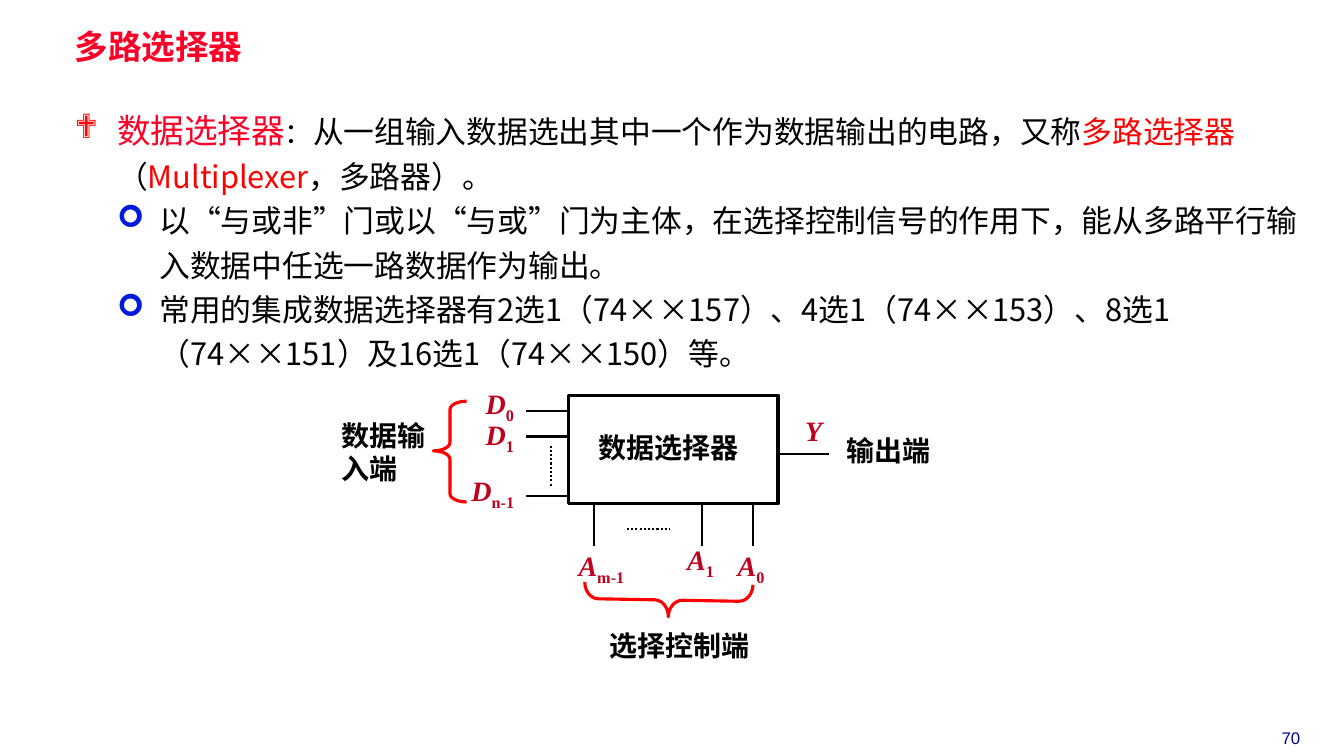
from lxml import etree
from pptx import Presentation
from pptx.dml.color import RGBColor
from pptx.enum.dml import MSO_LINE
from pptx.enum.shapes import MSO_CONNECTOR, MSO_SHAPE
from pptx.enum.text import PP_ALIGN
from pptx.oxml.ns import qn
from pptx.util import Cm, Pt

STRAIGHT = MSO_CONNECTOR.STRAIGHT
DOTTED = MSO_LINE.ROUND_DOT
RECT, BRACE = MSO_SHAPE.RECTANGLE, MSO_SHAPE.LEFT_BRACE
CJK, SERIF, SANS = "Noto Sans CJK SC", "Times New Roman", "Arial"
COLORS = {"title": "FC0128", "red": "FF0000", "black": "000000",
          "arrow": "001ADC", "signal": "BD011E", "number": "000099"}

# Content: body runs are (text, size, colour)
TITLE = "多路选择器"
PAGE = "70"
BODY = [
    (0, [("数据选择器", 24, "title"), ("：", 20, "black"),
         ("从一组输入数据选出其中一个作为数据输出的电路，又称", 22, "black"),
         ("多路选择器", 22, "red"), ("（", 22, "black"),
         ("Multiplexer", 22, "red"), ("，多路器）。", 22, "black")]),
    (1, [("以“与或非”门或以“与或”门为主体，在选择控制信号的作用下，"
          "能从多路平行输入数据中任选一路数据作为输出。", 22, "black")]),
    (1, [("常用的集成数据选择器有2选1（74××157）、4选1（74××153）、"
          "8选1（74××151）及16选1（74××150）等。", 22, "black")]),
]
BULLETS = [("❖", "red"), ("➢", "arrow")]

# Diagram, in cm
LEFT, TOP, WIDTH, HEIGHT = 14.33, 9.96, 5.28, 2.74
RIGHT, BOTTOM = LEFT + WIDTH, TOP + HEIGHT
PIN = 1.07
INPUT_PINS = [10.36, 11.0, 12.5]
SELECT_PINS = [14.96, 17.7, 18.97]
OUTPUT_PIN = (RIGHT, 11.43, 20.88, 11.43)
DOTS = [(13.89, 11.23, 13.89, 12.27), (15.8, 13.34, 16.87, 13.34)]
SIGNALS = [  # letter, subscript, left, top, width
    ("D", "0", 11.99, 9.6, 1.47), ("D", "1", 11.99, 10.39, 1.4),
    ("D", "n-1", 11.63, 11.81, 1.9), ("A", "0", 18.34, 13.69, 1.3),
    ("A", "1", 17.07, 13.54, 1.4), ("A", "m-1", 14.33, 13.69, 1.85),
    ("Y", "", 20.04, 10.29, 0.94),
]
CAPTIONS = [  # text, left, top, width, height
    ("数据选择器", 14.83, 10.72, 4.2, 1.1), ("数据输入端", 8.36, 10.41, 2.9, 1.96),
    ("输出端", 21.08, 10.8, 3.18, 1.1), ("选择控制端", 15.11, 15.72, 4.2, 1.1),
]
BRACES = [  # left, top, width, height, rotation, curve, tip
    (10.92, 10.11, 0.84, 2.54, 0, 0.25, 0.493),
    (16.43, 13.0, 0.84, 4.24, 271, 0.417, 0.5),
]

prs = Presentation()
prs.slide_width, prs.slide_height = Cm(33.87), Cm(19.05)
s = prs.slides.add_slide(prs.slide_layouts[6])


def rgb(name):
    return RGBColor.from_string(COLORS[name])


def add_box(left, top, width, height, inset=(0.25, 0.13)):
    tf = s.shapes.add_textbox(Cm(left), Cm(top), Cm(width), Cm(height)).text_frame
    tf.word_wrap = True
    tf.margin_left = tf.margin_right = Cm(inset[0])
    tf.margin_top = tf.margin_bottom = Cm(inset[1])
    return tf


def add_run(p, text, size, color, font, bold=False, italic=False, sub=False):
    r = p.add_run()
    r.text = text
    r.font.size, r.font.name = Pt(size), font
    r.font.bold, r.font.italic = bold, italic
    r.font.color.rgb = rgb(color)
    rPr = r.font._element
    rPr.set("lang", "zh-CN")
    if sub:
        rPr.set("baseline", "-25000")
    ea = etree.Element(qn("a:ea"), typeface=CJK)
    rPr.find(qn("a:latin")).addnext(ea)


def add_bullet(p, level):
    mark, color = BULLETS[level]
    pPr = p._p.get_or_add_pPr()
    pPr.set("marL", str(Cm(1.07 * (level + 1))))
    pPr.set("indent", str(-Cm(1.07)))
    clr = etree.SubElement(pPr, qn("a:buClr"))
    etree.SubElement(clr, qn("a:srgbClr"), val=COLORS[color])
    etree.SubElement(pPr, qn("a:buFont"), typeface="Wingdings")
    etree.SubElement(pPr, qn("a:buChar"), char=mark)


def add_line(x1, y1, x2, y2, dash=None):
    c = s.shapes.add_connector(STRAIGHT, Cm(x1), Cm(y1), Cm(x2), Cm(y2))
    c.line.color.rgb, c.line.width = rgb("black"), Pt(1.5)
    if dash:
        c.line.dash_style = dash
    etree.SubElement(c._element.spPr, qn("a:effectLst"))


def add_outline(kind, left, top, width, height, color):
    sp = s.shapes.add_shape(kind, Cm(left), Cm(top), Cm(width), Cm(height))
    sp.shadow.inherit = False
    sp.fill.background()
    sp.line.color.rgb, sp.line.width = rgb(color), Pt(2.25)
    return sp


# Page number and title
p = add_box(31.34, 18.21, 2.39, 0.76).paragraphs[0]
p.alignment = PP_ALIGN.CENTER
add_run(p, PAGE, 12, "number", SANS)
p = add_box(1.7, 0.71, 14.6, 1.04, (0.18, 0.08)).paragraphs[0]
p.line_spacing = 0.87
add_run(p, TITLE, 24, "title", SANS, bold=True)

# Body
tf = add_box(1.7, 2.49, 31.83, 9.17, (0.18, 0.08))
for i, (level, runs) in enumerate(BODY):
    p = tf.add_paragraph() if i else tf.paragraphs[0]
    p.level = level
    p.line_spacing = 1.2
    add_bullet(p, level)
    for text, size, color in runs:
        add_run(p, text, size, color, CJK)

# Selector block with its pins
add_outline(RECT, LEFT, TOP, WIDTH, HEIGHT, "black")
for y in INPUT_PINS:
    add_line(LEFT - PIN, y, LEFT, y)
for x in SELECT_PINS:
    add_line(x, BOTTOM, x, BOTTOM + PIN)
add_line(*OUTPUT_PIN)
for ends in DOTS:
    add_line(*ends, dash=DOTTED)

# Braces
for left, top, width, height, rotation, curve, tip in BRACES:
    sp = add_outline(BRACE, left, top, width, height, "red")
    sp.rotation = rotation
    sp.adjustments[0], sp.adjustments[1] = curve, tip

# Signal names and captions
for letter, index, left, top, width in SIGNALS:
    p = add_box(left, top, width, 1.1).paragraphs[0]
    add_run(p, letter, 20, "signal", SERIF, bold=True, italic=True)
    if index:
        add_run(p, index, 20, "signal", SERIF, bold=True, sub=True)
for text, *frame in CAPTIONS:
    add_run(add_box(*frame).paragraphs[0], text, 20, "black", SERIF, bold=True)

prs.save("out.pptx")
